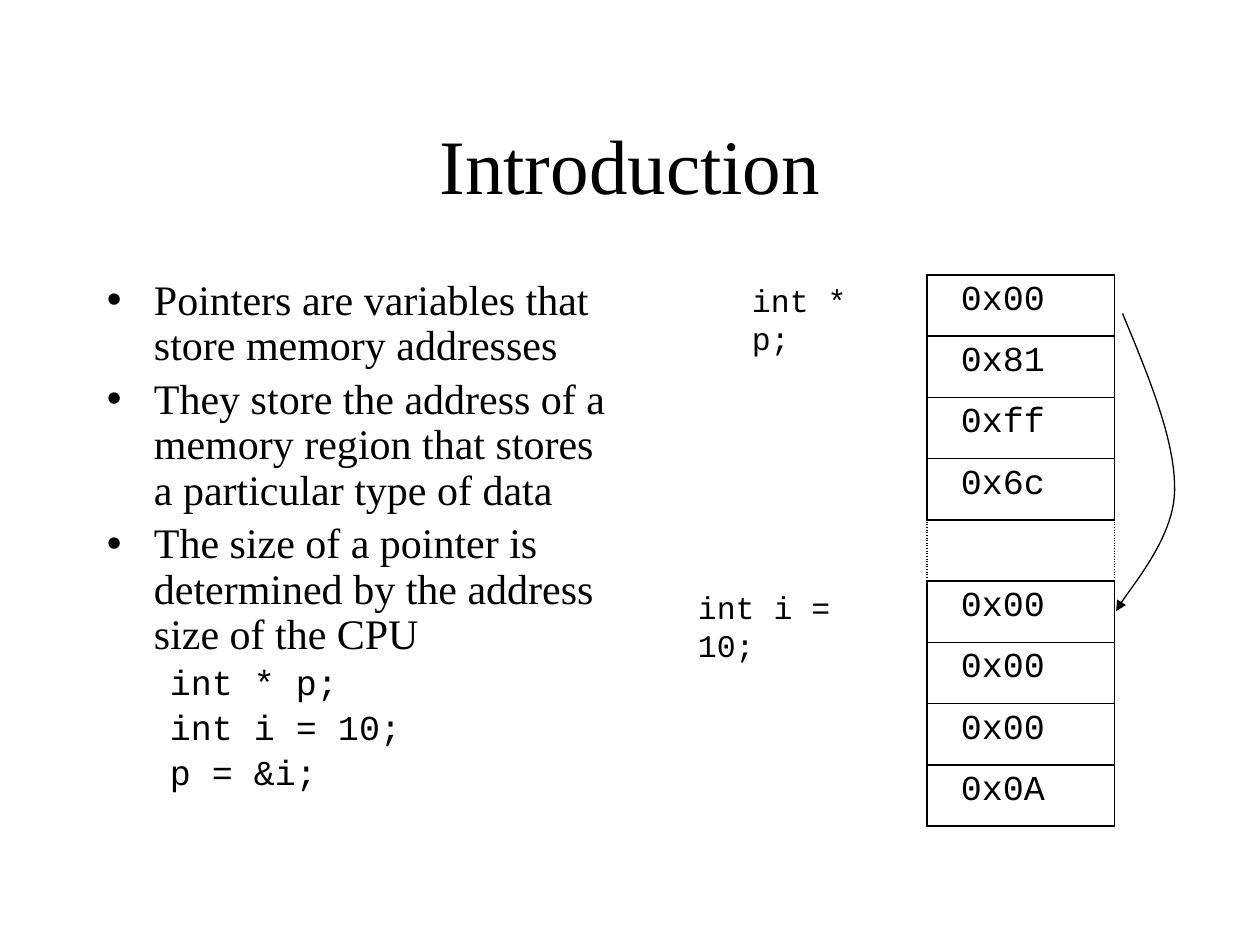
from dataclasses import dataclass

from lxml import etree
from pptx import Presentation
from pptx.dml.color import RGBColor
from pptx.enum.text import MSO_ANCHOR, MSO_AUTO_SIZE, PP_ALIGN
from pptx.oxml.ns import qn
from pptx.util import Cm, Pt

MIDDLE, TOP = MSO_ANCHOR.MIDDLE, MSO_ANCHOR.TOP
CENTER, LEFT = PP_ALIGN.CENTER, PP_ALIGN.LEFT
NO_AUTOFIT = MSO_AUTO_SIZE.NONE


@dataclass(frozen=True)
class Theme:
    """Colours, fonts and type sizes."""
    ink: RGBColor = RGBColor(0, 0, 0)
    prose: str = "Times New Roman"
    code: str = "Courier New"
    title_size: int = 44
    body_size: int = 24
    code_size: int = 20
    label_size: int = 18
    rule: float = 1
    arrow: float = 0.75


def apply(target, values):
    """Set every attribute named in a dict of format values."""
    for name, value in values.items():
        setattr(target, name, value)


def add_xml(parent, tag, **attributes):
    """Append a DrawingML element and return it."""
    return etree.SubElement(parent, qn(tag), attributes)


class SlideBuilder:
    """Holds the theme and the current slide."""

    def __init__(self, slide, theme):
        """Keep the slide and its style."""
        self.slide, self.theme = slide, theme

    def add_text(self, paragraph, text, font, size, **layout):
        """Put formatted text in a paragraph."""
        run = paragraph.add_run()
        run.text = text
        apply(run.font, {"name": font, "size": Pt(size)})
        run.font.color.rgb = self.theme.ink
        apply(paragraph, {"space_before": Pt(size * 0.2), **layout})

    def place(self, shape, box, anchor):
        """Move a text shape and fix its frame settings."""
        apply(shape, dict(zip(("left", "top", "width", "height"), map(Cm, box))))
        apply(shape.text_frame, {"word_wrap": True, "auto_size": NO_AUTOFIT,
                                 "vertical_anchor": anchor})
        return shape.text_frame

    def title(self, text, box):
        """Fill the title placeholder."""
        frame = self.place(self.slide.shapes.title, box, MIDDLE)
        self.add_text(frame.paragraphs[0], text, self.theme.prose,
                      self.theme.title_size, alignment=CENTER)

    def body(self, points, code_lines, box):
        """Fill the body placeholder with bullets, then code lines."""
        theme = self.theme
        frame = self.place(self.slide.placeholders[1], box, TOP)
        bullet = (theme.prose, theme.body_size, 0, 0.95, -0.95)
        code = (theme.code, theme.code_size, 1, 2.06, -0.79)
        rows = [(t, bullet) for t in points] + [(t, code) for t in code_lines]
        for index, (text, (font, size, level, margin, indent)) in enumerate(rows):
            paragraph = frame.add_paragraph() if index else frame.paragraphs[0]
            self.add_text(paragraph, text, font, size, level=level,
                          line_spacing=0.9, alignment=LEFT)
            properties = paragraph._p.get_or_add_pPr()
            properties.set("marL", str(Cm(margin)))
            properties.set("indent", str(Cm(indent)))
            if level:
                add_xml(properties, "a:buNone")
            else:
                add_xml(properties, "a:buChar", char="•")

    def label(self, text, box):
        """Add a code label beside the memory column."""
        frame = self.place(self.slide.shapes.add_textbox(0, 0, 0, 0), box, TOP)
        self.add_text(frame.paragraphs[0], text, self.theme.code,
                      self.theme.label_size)

    def borders(self, cell, side_dash):
        """Draw the four borders of a cell."""
        properties = cell._tc.get_or_add_tcPr()
        for index, side in enumerate("LRTB"):
            line = add_xml(properties, f"a:ln{side}", w=str(Pt(self.theme.rule)))
            fill = add_xml(line, "a:solidFill")
            add_xml(fill, "a:srgbClr", val=str(self.theme.ink))
            add_xml(line, "a:prstDash", val=side_dash if side in "LR" else "solid")
            properties.insert(index, line)

    def memory(self, values, box):
        """Add a one-column table; an empty value is a gap in memory."""
        table = self.slide.shapes.add_table(len(values), 1, *map(Cm, box)).table
        apply(table, {"first_row": False, "horz_banding": False})
        for row, value in enumerate(values):
            cell = table.cell(row, 0)
            cell.fill.background()
            cell.margin_left = Cm(0.68)
            if value:
                self.add_text(cell.text_frame.paragraphs[0], value,
                              self.theme.code, self.theme.code_size)
            self.borders(cell, "solid" if value else "dot")

    def curved_arrow(self, curves, steps=24):
        """Trace joined cubic curves and end them with an arrowhead."""
        points = [tuple(
            (1 - t) ** 3 * a + 3 * (1 - t) ** 2 * t * b
            + 3 * (1 - t) * t ** 2 * c + t ** 3 * d
            for a, b, c, d in zip(*curve))
            for curve in curves for t in (i / steps for i in range(1, steps + 1))]
        start = curves[0][0]
        builder = self.slide.shapes.build_freeform(*map(Cm, start))
        builder.add_line_segments([tuple(map(Cm, p)) for p in points], close=False)
        arrow = builder.convert_to_shape()
        arrow.shadow.inherit = False
        arrow.fill.background()
        arrow.line.color.rgb = self.theme.ink
        arrow.line.width = Pt(self.theme.arrow)
        add_xml(arrow._element.spPr.get_or_add_ln(), "a:tailEnd", type="triangle")


def main():
    """Build the slide and save it."""
    deck = Presentation()
    apply(deck, {"slide_width": Cm(25.4), "slide_height": Cm(19.05)})
    page = SlideBuilder(deck.slides.add_slide(deck.slide_layouts[1]), Theme())
    page.title("Introduction", (1.9, 1.7, 21.6, 3.18))
    page.body(
        ["Pointers are variables that store memory addresses",
         "They store the address of a memory region that stores "
         "a particular type of data",
         "The size of a pointer is determined by the address size of the CPU"],
        ["int * p;", "int i = 10;", "p = &i;"],
        (1.9, 5.5, 10.6, 11.43))
    pointer_bytes = ["0x00", "0x81", "0xff", "0x6c"]
    integer_bytes = ["0x00", "0x00", "0x00", "0x0A"]
    page.memory(pointer_bytes + [""] + integer_bytes, (18.69, 5.54, 3.78, 11.12))
    page.label("int * p;", (14.91, 5.54, 3.4, 1.02))
    page.curved_arrow([
        ((22.63, 6.32), (23.16, 7.6), (23.7, 8.89), (23.68, 9.89)),
        ((23.68, 9.89), (23.67, 10.9), (22.71, 11.92), (22.5, 12.32))])
    page.label("int i = 10;", (13.82, 11.73, 4.5, 1.02))
    deck.save("out.pptx")


main()
